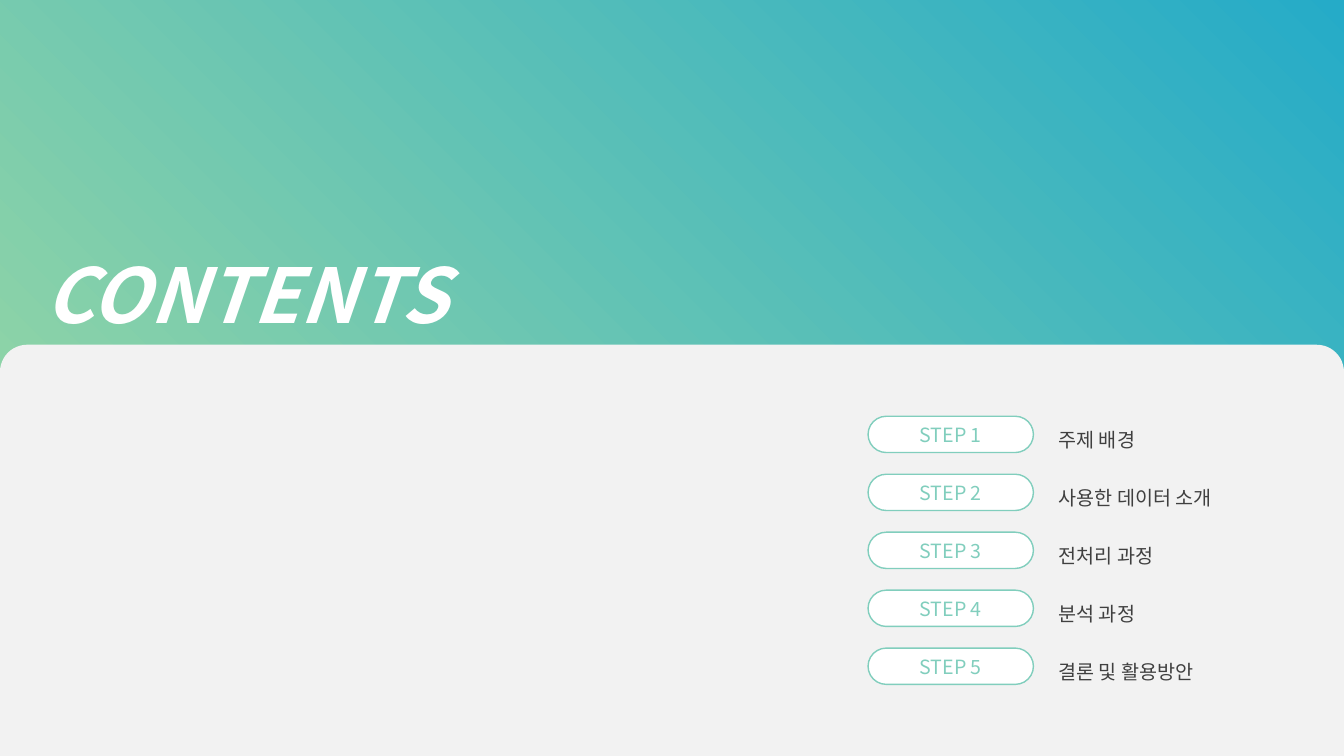
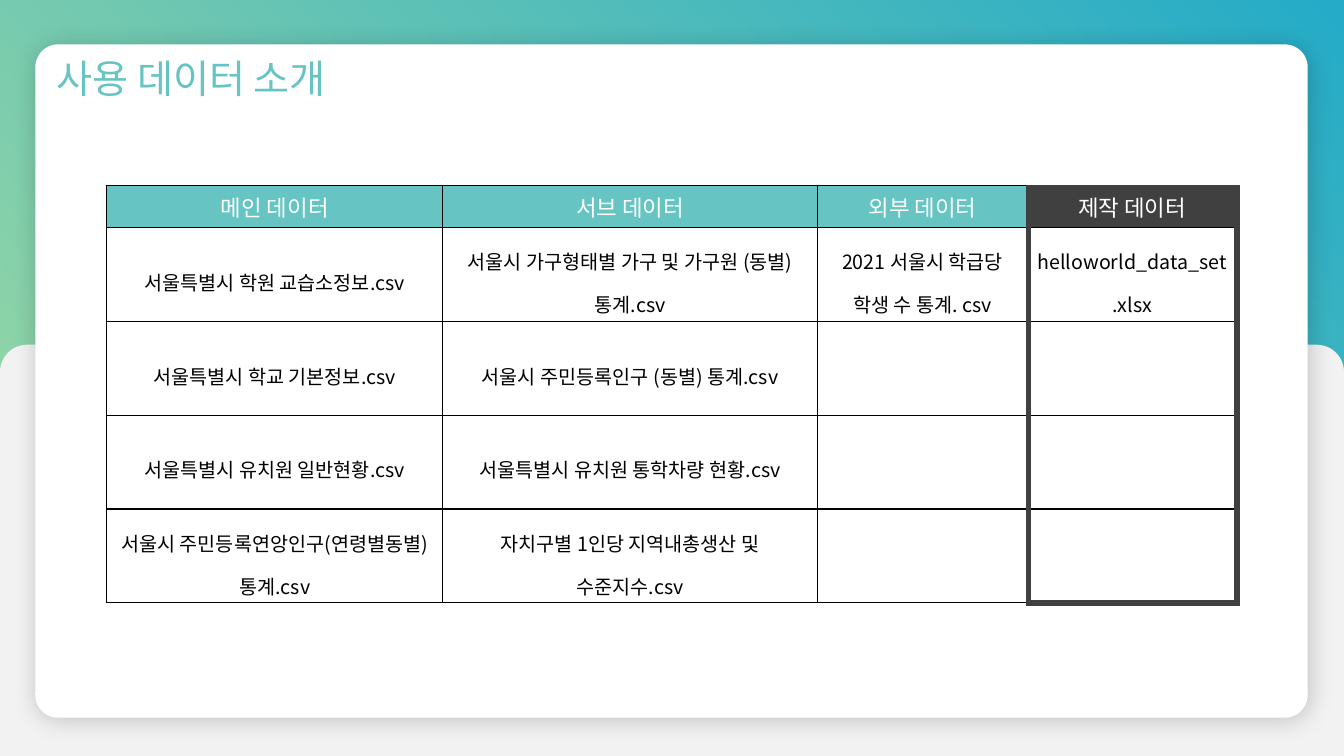
"""Build a contents slide and a data overview slide."""
from dataclasses import dataclass
from typing import Optional

import lxml.etree
import pptx
import pptx.dml.color
import pptx.enum.shapes
import pptx.enum.text
import pptx.oxml.ns
import pptx.util

Inches = pptx.util.Inches
Pt = pptx.util.Pt
qn = pptx.oxml.ns.qn
MSO_SHAPE = pptx.enum.shapes.MSO_SHAPE
PP_ALIGN = pptx.enum.text.PP_ALIGN
MSO_ANCHOR = pptx.enum.text.MSO_ANCHOR

FONT = "Noto Sans CJK KR"
COLORS = {
    "sky": "25ABC8",
    "leaf": "A4DCA0",
    "panel": "F2F2F2",
    "white": "FFFFFF",
    "black": "000000",
    "dark": "404040",
    "mint": "81CEBD",
    "teal": "66C4C3",
}


@dataclass(frozen=True)
class Box:
    left: float
    top: float
    width: float
    height: float

    def emu(self) -> list:
        return [Inches(v) for v in (self.left, self.top, self.width, self.height)]


@dataclass(frozen=True)
class Column:
    header: str
    fill: str
    width: float
    files: tuple = ()


TOPICS = ("주제 배경", "사용한 데이터 소개", "전처리 과정", "분석 과정", "결론 및 활용방안")
STEP_PITCH = 0.575
HEADER_HEIGHT = 0.42
ROW_HEIGHT = 0.93
ROW_COUNT = 4
COLUMNS = (
    Column("메인 데이터", "teal", 3.33, (
        "서울특별시 학원 교습소정보.csv",
        "서울특별시 학교 기본정보.csv",
        "서울특별시 유치원 일반현황.csv",
        "서울시 주민등록연앙인구(연령별동별) 통계.csv",
    )),
    Column("서브 데이터", "teal", 3.72, (
        "서울시 가구형태별 가구 및 가구원 (동별)\n통계.csv",
        "서울시 주민등록인구 (동별) 통계.csv",
        "서울특별시 유치원 통학차량 현황.csv",
        "자치구별 1인당 지역내총생산 및\n수준지수.csv",
    )),
    Column("외부 데이터", "teal", 2.08, ("2021 서울시 학급당 학생 수 통계. csv",)),
    Column("제작 데이터", "dark", 2.08, ("helloworld_data_set.xlsx",)),
)


def rgb(name: str) -> pptx.dml.color.RGBColor:
    return pptx.dml.color.RGBColor.from_string(COLORS[name])


def write(tf, text: str, *, size: float, color: str, bold: bool = False,
          italic: bool = False, align=PP_ALIGN.LEFT, spacing: Optional[float] = None) -> None:
    for i, line in enumerate(text.split("\n")):
        p = tf.add_paragraph() if i else tf.paragraphs[0]
        p.alignment = align
        p.line_spacing = spacing
        r = p.add_run()
        r.text = line
        r.font.size = Pt(size)
        r.font.bold = bold
        r.font.italic = italic
        r.font.color.rgb = rgb(color)
        r.font.name = FONT
        ea = lxml.etree.SubElement(r.font._element, qn("a:ea"))
        ea.set("typeface", FONT)


def add_text(s, box: Box, text: str, **style) -> None:
    tf = s.shapes.add_textbox(*box.emu()).text_frame
    tf.word_wrap = True
    tf.auto_size = pptx.enum.text.MSO_AUTO_SIZE.SHAPE_TO_FIT_TEXT
    write(tf, text, **style)


def add_panel(s, kind, box: Box, fill: str, *radii: float, line: Optional[str] = None):
    sp = s.shapes.add_shape(kind, *box.emu())
    sp.shadow.inherit = False
    for i, radius in enumerate(radii):
        sp.adjustments[i] = radius
    sp.fill.solid()
    sp.fill.fore_color.rgb = rgb(fill)
    if line:
        sp.line.color.rgb = rgb(line)
        sp.line.width = Pt(1)
    else:
        sp.line.fill.background()
    return sp


def add_shadow(sp) -> None:
    effects = sp._element.spPr.find(qn("a:effectLst"))
    shadow = lxml.etree.SubElement(
        effects, qn("a:outerShdw"), blurRad=str(Pt(18)), dist=str(Pt(3)),
        dir=str(45 * 60000), algn="tl", rotWithShape="0")
    color = lxml.etree.SubElement(shadow, qn("a:srgbClr"), val=COLORS["black"])
    lxml.etree.SubElement(color, qn("a:alpha"), val="20000")


def set_borders(cell, color: str, width: float) -> None:
    tc_pr = cell._tc.get_or_add_tcPr()
    for side in ("a:lnL", "a:lnR", "a:lnT", "a:lnB"):
        ln = lxml.etree.SubElement(tc_pr, qn(side), w=str(Pt(width)))
        fill = lxml.etree.SubElement(ln, qn("a:solidFill"))
        lxml.etree.SubElement(fill, qn("a:srgbClr"), val=COLORS[color])


def add_grid(s, left: float, top: float, widths: list, heights: list,
             color: str, line_width: float):
    box = Box(left, top, sum(widths), sum(heights))
    table = s.shapes.add_table(len(heights), len(widths), *box.emu()).table
    table.first_row = False
    table.horz_banding = False
    for column, width in zip(table.columns, widths):
        column.width = Inches(width)
    for row, height in zip(table.rows, heights):
        row.height = Inches(height)
    for cell in table.iter_cells():
        set_borders(cell, color, line_width)
        cell.fill.background()
        cell.vertical_anchor = MSO_ANCHOR.MIDDLE
    return table


def add_base_slide(prs):
    s = prs.slides.add_slide(prs.slide_layouts[6])
    fill = s.background.fill
    fill.gradient()
    fill.gradient_angle = 225
    for stop, color in zip(fill.gradient_stops, ("sky", "leaf")):
        stop.color.rgb = rgb(color)
    add_panel(s, MSO_SHAPE.ROUND_2_SAME_RECTANGLE, Box(0, 3.42, 13.33, 4.08),
              "panel", 0.066, 0)
    return s


def build_contents(prs) -> None:
    s = add_base_slide(prs)
    add_text(s, Box(0.34, 2.41, 5.64, 1.01), "CONTENTS", size=54, color="white",
             bold=True, italic=True)
    for i, topic in enumerate(TOPICS):
        offset = i * STEP_PITCH
        pill = add_panel(s, MSO_SHAPE.ROUNDED_RECTANGLE, Box(8.61, 4.13 + offset, 1.64, 0.36),
                         "white", 0.5, line="mint")
        pill.text_frame.vertical_anchor = MSO_ANCHOR.MIDDLE
        write(pill.text_frame, f"STEP {i + 1}", size=14, color="mint", align=PP_ALIGN.CENTER)
        add_text(s, Box(10.4, 4.08 + offset, 2.9, 0.41), topic, size=14, color="dark",
                 spacing=1.5)


def build_data_overview(prs) -> None:
    s = add_base_slide(prs)
    card = add_panel(s, MSO_SHAPE.ROUNDED_RECTANGLE, Box(0.35, 0.44, 12.62, 6.68),
                     "white", 0.034)
    add_shadow(card)
    add_text(s, Box(0.46, 0.49, 7.23, 0.57), "사용 데이터 소개", size=28, color="teal")
    table = add_grid(s, 1.06, 1.84, [c.width for c in COLUMNS],
                     [HEADER_HEIGHT] + [ROW_HEIGHT] * ROW_COUNT, "black", 1)
    for x, column in enumerate(COLUMNS):
        header = table.cell(0, x)
        header.fill.solid()
        header.fill.fore_color.rgb = rgb(column.fill)
        write(header.text_frame, column.header, size=16, color="white", align=PP_ALIGN.CENTER)
        for y, name in enumerate(column.files, start=1):
            write(table.cell(y, x).text_frame, name, size=14, color="black",
                  align=PP_ALIGN.CENTER, spacing=1.5)
    add_grid(s, 10.2, 1.86, [2.07], [4.12], "dark", 4.5)


def main() -> None:
    prs = pptx.Presentation()
    prs.slide_width = Inches(13.33)
    prs.slide_height = Inches(7.5)
    build_contents(prs)
    build_data_overview(prs)
    prs.save("out.pptx")


if __name__ == "__main__":
    main()
